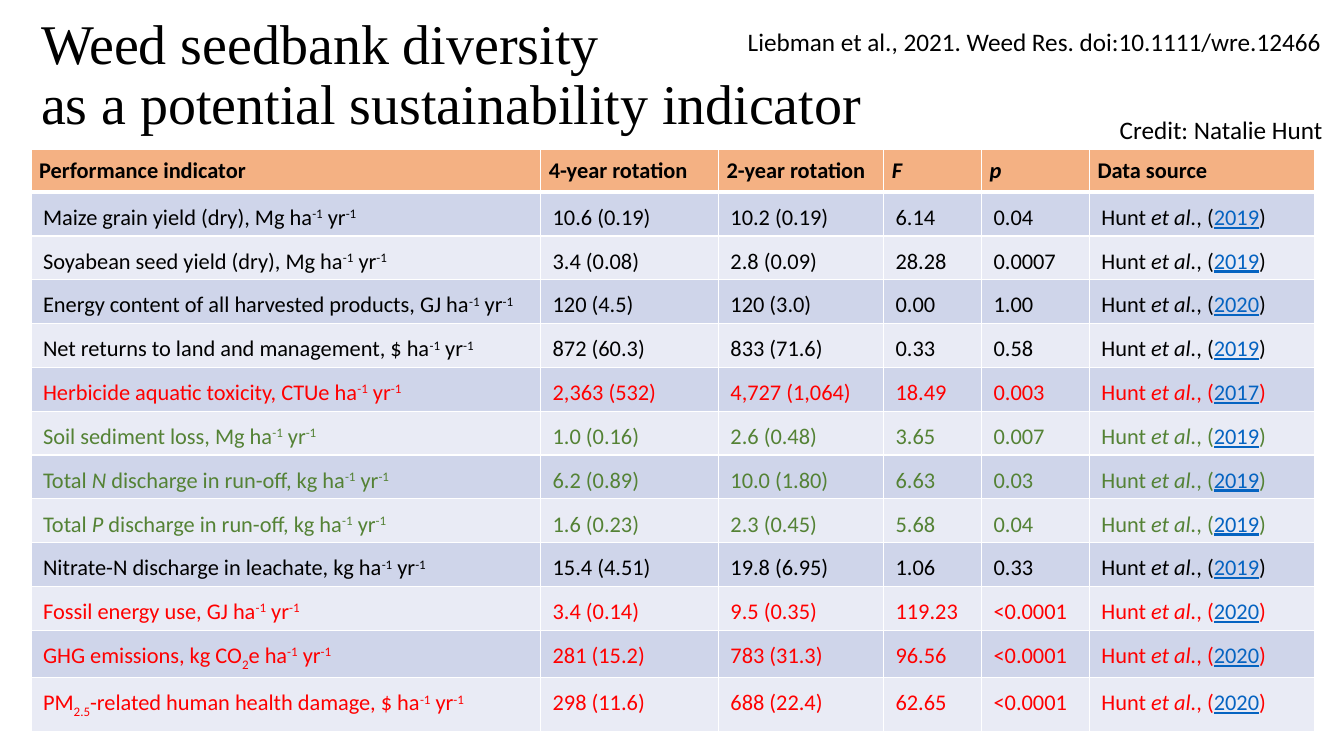
import pptx
import pptx.dml.color
import pptx.enum.text
import pptx.oxml
import pptx.oxml.ns
import pptx.util

Pt = pptx.util.Pt
BLACK, RED, GREEN, LINK = "000000", "FF0000", "548235", "0563C1"
HEADER_FILL, BANDS, BORDER = "F4B183", ("CFD5EA", "E9EBF5"), "FFFFFF"
PER_YEAR = " ha^-1^ yr^-1^"

# Marks that switch a format on and off inside a text
MARKS = {
    "*": {"italic": True},
    "^": {"baseline": "30000"},
    "~": {"baseline": "-25000"},
    "@": {"underline": True, "color": LINK},
}


def color(value):
    return pptx.dml.color.RGBColor.from_string(value)


def split_marks(text):
    """Return (piece, format) pairs for a text holding marks."""
    pieces, active, piece = [], None, ""
    for letter in text:
        if letter in MARKS:
            if piece:
                pieces.append((piece, MARKS.get(active, {})))
            active, piece = (None if letter == active else letter), ""
        else:
            piece += letter
    if piece:
        pieces.append((piece, MARKS.get(active, {})))
    return pieces


class SlideBuilder:
    font = "Calibri"

    def __init__(self, width, height):
        self.deck = pptx.Presentation()
        self.deck.slide_width, self.deck.slide_height = Pt(width), Pt(height)
        self.page = self.deck.slides.add_slide(self.deck.slide_layouts[6])

    def spans(self, para, text, **style):
        for piece, change in split_marks(text):
            span = para.add_run()
            span.text = piece
            values = {"name": self.font, "color": BLACK, **style, **change}
            baseline = values.pop("baseline", None)
            span.font.color.rgb = color(values.pop("color"))
            for name, value in values.items():
                setattr(span.font, name, value)
            if baseline:
                span.font._element.set("baseline", baseline)

    def text(self, left, top, width, height, lines, spacing=1.0, anchor="TOP", **style):
        box = self.page.shapes.add_textbox(Pt(left), Pt(top), Pt(width), Pt(height))
        frame = box.text_frame
        frame.word_wrap = True
        frame.vertical_anchor = pptx.enum.text.MSO_ANCHOR[anchor]
        para = frame.paragraphs[0]
        para.line_spacing = spacing
        for index, line in enumerate(lines):
            if index:
                para.add_line_break()
            self.spans(para, line, **style)

    def table(self, left, top, widths, row_height, row_count):
        frame = self.page.shapes.add_table(
            row_count, len(widths), Pt(left), Pt(top),
            Pt(sum(widths)), Pt(row_height * row_count))
        grid = frame.table
        grid.first_row = grid.horz_banding = False
        for column, width in zip(grid.columns, widths):
            column.width = Pt(width)
        for row in grid.rows:
            row.height = Pt(row_height)
        return grid

    def cell(self, cell, text, fill, margins, borders, **style):
        for side, margin in zip(("left", "top", "right", "bottom"), margins):
            setattr(cell, f"margin_{side}", Pt(margin))
        cell.fill.solid()
        cell.fill.fore_color.rgb = color(fill)
        properties = cell._tc.get_or_add_tcPr()
        for index, (side, width) in enumerate(zip("LRTB", borders)):
            properties.insert(index, pptx.oxml.parse_xml(
                f'<a:ln{side} {pptx.oxml.ns.nsdecls("a")} w="{Pt(width)}">'
                f'<a:solidFill><a:srgbClr val="{BORDER}"/></a:solidFill></a:ln{side}>'))
        self.spans(cell.text_frame.paragraphs[0], text, size=Pt(16), **style)


HEADERS = ["Performance indicator", "4-year rotation", "2-year rotation",
           "*F*", "*p*", "Data source"]

# Indicator, 4-year, 2-year, F, p, year of source, text colour
INDICATORS = [
    ("Maize grain yield (dry), Mg", "10.6 (0.19)", "10.2 (0.19)", "6.14", "0.04", 2019, BLACK),
    ("Soyabean seed yield (dry), Mg", "3.4 (0.08)", "2.8 (0.09)", "28.28", "0.0007", 2019, BLACK),
    ("Energy content of all harvested products, GJ", "120 (4.5)", "120 (3.0)",
     "0.00", "1.00", 2020, BLACK),
    ("Net returns to land and management, $", "872 (60.3)", "833 (71.6)",
     "0.33", "0.58", 2019, BLACK),
    ("Herbicide aquatic toxicity, CTUe", "2,363 (532)", "4,727 (1,064)",
     "18.49", "0.003", 2017, RED),
    ("Soil sediment loss, Mg", "1.0 (0.16)", "2.6 (0.48)", "3.65", "0.007", 2019, GREEN),
    ("Total *N* discharge in run-off, kg", "6.2 (0.89)", "10.0 (1.80)",
     "6.63", "0.03", 2019, GREEN),
    ("Total *P* discharge in run-off, kg", "1.6 (0.23)", "2.3 (0.45)",
     "5.68", "0.04", 2019, GREEN),
    ("Nitrate-N discharge in leachate, kg", "15.4 (4.51)", "19.8 (6.95)",
     "1.06", "0.33", 2019, BLACK),
    ("Fossil energy use, GJ", "3.4 (0.14)", "9.5 (0.35)", "119.23", "<0.0001", 2020, RED),
    ("GHG emissions, kg CO~2~e", "281 (15.2)", "783 (31.3)", "96.56", "<0.0001", 2020, RED),
    ("PM~2.5~-related human health damage, $", "298 (11.6)", "688 (22.4)",
     "62.65", "<0.0001", 2020, RED),
]


def main():
    slide = SlideBuilder(960, 540)

    # Title
    slide.text(22.3, 2.2, 828, 104.4,
               ["Weed seedbank diversity", "as a potential sustainability indicator"],
               spacing=0.9, anchor="MIDDLE", name="Times New Roman", size=Pt(40))

    # Table header
    grid = slide.table(22.3, 106.6, [364, 127, 118, 70, 77, 161], 29.6, len(INDICATORS) + 1)
    for column, header in enumerate(HEADERS):
        slide.cell(grid.cell(0, column), header, HEADER_FILL, [5.7] * 4,
                   (1, 1, 1, 3), bold=True)

    # Indicator rows
    for row, (indicator, *values, year, ink) in enumerate(INDICATORS, 1):
        texts = [indicator + PER_YEAR, *values, f"Hunt *et al.*, (@{year}@)"]
        margins = (8.5, 8.5, 8.5, 8.5 if row == len(INDICATORS) else 3.6)
        borders = (1, 1, 3 if row == 1 else 1, 1)
        for column, text in enumerate(texts):
            slide.cell(grid.cell(row, column), text, BANDS[(row - 1) % 2],
                       margins, borders, color=ink)

    # Credit and citation
    slide.text(792.7, 77.8, 166, 29, ["Credit: Natalie Hunt"], size=Pt(18))
    slide.text(527, 15.1, 433, 29,
               ["Liebman et al., 2021. Weed Res. doi:10.1111/wre.12466"], size=Pt(18))

    slide.deck.save("out.pptx")


if __name__ == "__main__":
    main()
